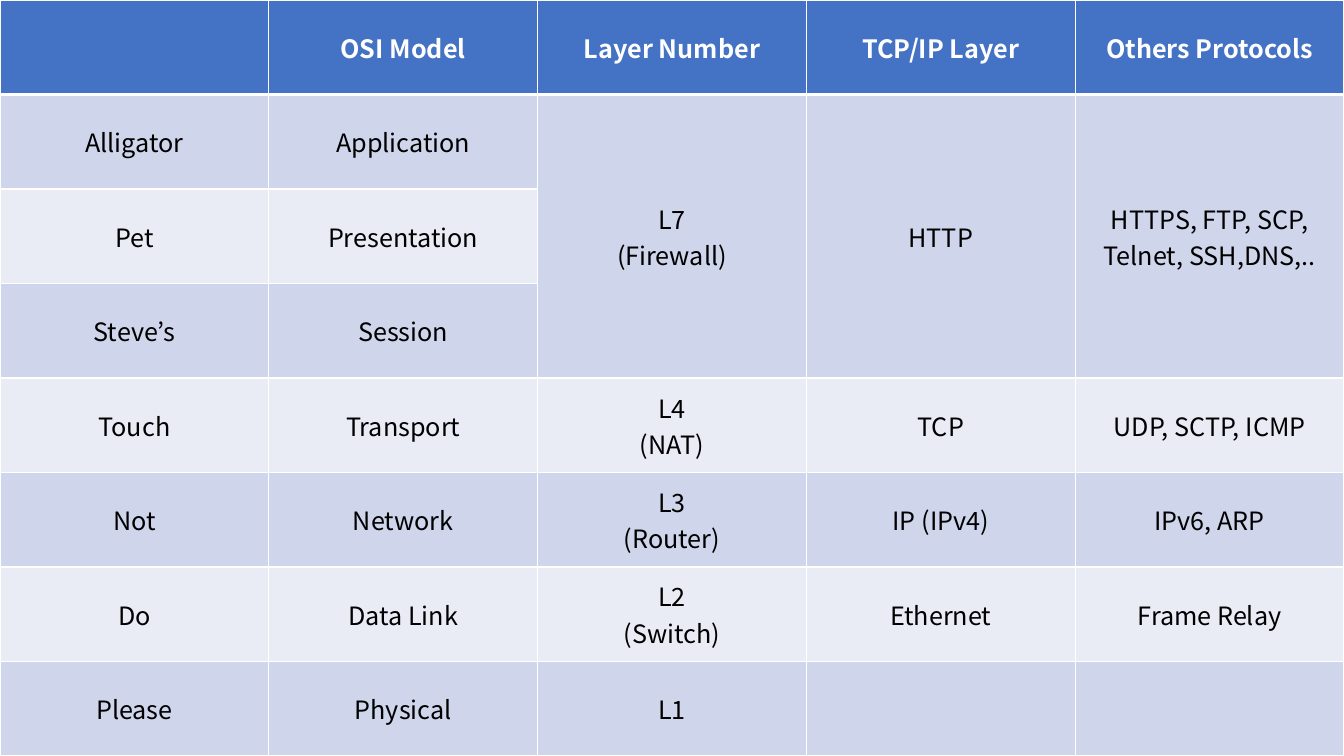
from lxml import etree
from pptx import Presentation
from pptx.dml.color import RGBColor
from pptx.enum import text
from pptx.oxml import ns
from pptx.util import Cm, Pt

HEADINGS = ("", "OSI Model", "Layer Number", "TCP/IP Layer", "Others Protocols")
LAYERS = [
    ("Alligator", "Application", "L7\n(Firewall)", "HTTP",
     "HTTPS, FTP, SCP, Telnet, SSH,DNS,.."),
    ("Pet", "Presentation", "", "", ""),
    ("Steve’s", "Session", "", "", ""),
    ("Touch", "Transport", "L4\n(NAT)", "TCP", "UDP, SCTP, ICMP"),
    ("Not", "Network", "L3\n(Router)", "IP (IPv4)", "IPv6, ARP"),
    ("Do", "Data Link", "L2\n(Switch)", "Ethernet", "Frame Relay"),
    ("Please", "Physical", "L1", "", ""),
]
MERGED_ROWS = (1, 3)
MERGED_COLUMNS = (2, 3, 4)
COLORS = {"header": "4472C4", "odd": "CFD5EA", "even": "E9EBF5",
          "border": "FFFFFF", "heading": "FFFFFF", "body": "000000"}
FONT = "Noto Sans CJK KR"
WIDTH, HEIGHT = Cm(33.87), Cm(19.05)


def write(cell, content, *, color, bold=False, size=18):
    """Put centred text in a cell, one paragraph per line."""
    cell.text = content
    cell.vertical_anchor = text.MSO_ANCHOR.MIDDLE
    for paragraph in cell.text_frame.paragraphs:
        paragraph.alignment = text.PP_ALIGN.CENTER
        for run in paragraph.runs:
            run.font.name = FONT
            run.font.size = Pt(size)
            run.font.bold = bold
            run.font.color.rgb = RGBColor.from_string(COLORS[color])


def add_borders(cell, **widths):
    """Draw the cell borders; call before the fill, as the schema orders them."""
    properties = cell._tc.get_or_add_tcPr()
    for side in ("L", "R", "T", "B"):
        line = etree.SubElement(properties, ns.qn(f"a:ln{side}"),
                                w=str(Pt(widths.get(side, 1))))
        fill = etree.SubElement(line, ns.qn("a:solidFill"))
        etree.SubElement(fill, ns.qn("a:srgbClr"), val=COLORS["border"])


def fill_cell(cell, color):
    cell.fill.solid()
    cell.fill.fore_color.rgb = RGBColor.from_string(COLORS[color])


def main():
    deck = Presentation()
    deck.slide_width, deck.slide_height = WIDTH, HEIGHT
    slide = deck.slides.add_slide(deck.slide_layouts[6])

    # Table grid: equal columns and rows over the whole slide
    rows = [HEADINGS, *LAYERS]
    osi_table = slide.shapes.add_table(len(rows), len(HEADINGS),
                                       0, 0, WIDTH, HEIGHT).table

    # Cells: header, then alternating bands
    for row, contents in enumerate(rows):
        band = "header" if row == 0 else "odd" if row % 2 else "even"
        # A thick rule separates the header from the layers
        rule = {0: {"B": 3}, 1: {"T": 3}}.get(row, {})
        for column, content in enumerate(contents):
            cell = osi_table.cell(row, column)
            write(cell, content, color="body" if row else "heading", bold=row == 0)
            add_borders(cell, **rule)
            fill_cell(cell, band)

    # The top three layers share one entry in the right-hand columns
    first, last = MERGED_ROWS
    for column in MERGED_COLUMNS:
        osi_table.cell(first, column).merge(osi_table.cell(last, column))

    deck.save("out.pptx")


if __name__ == "__main__":
    main()
